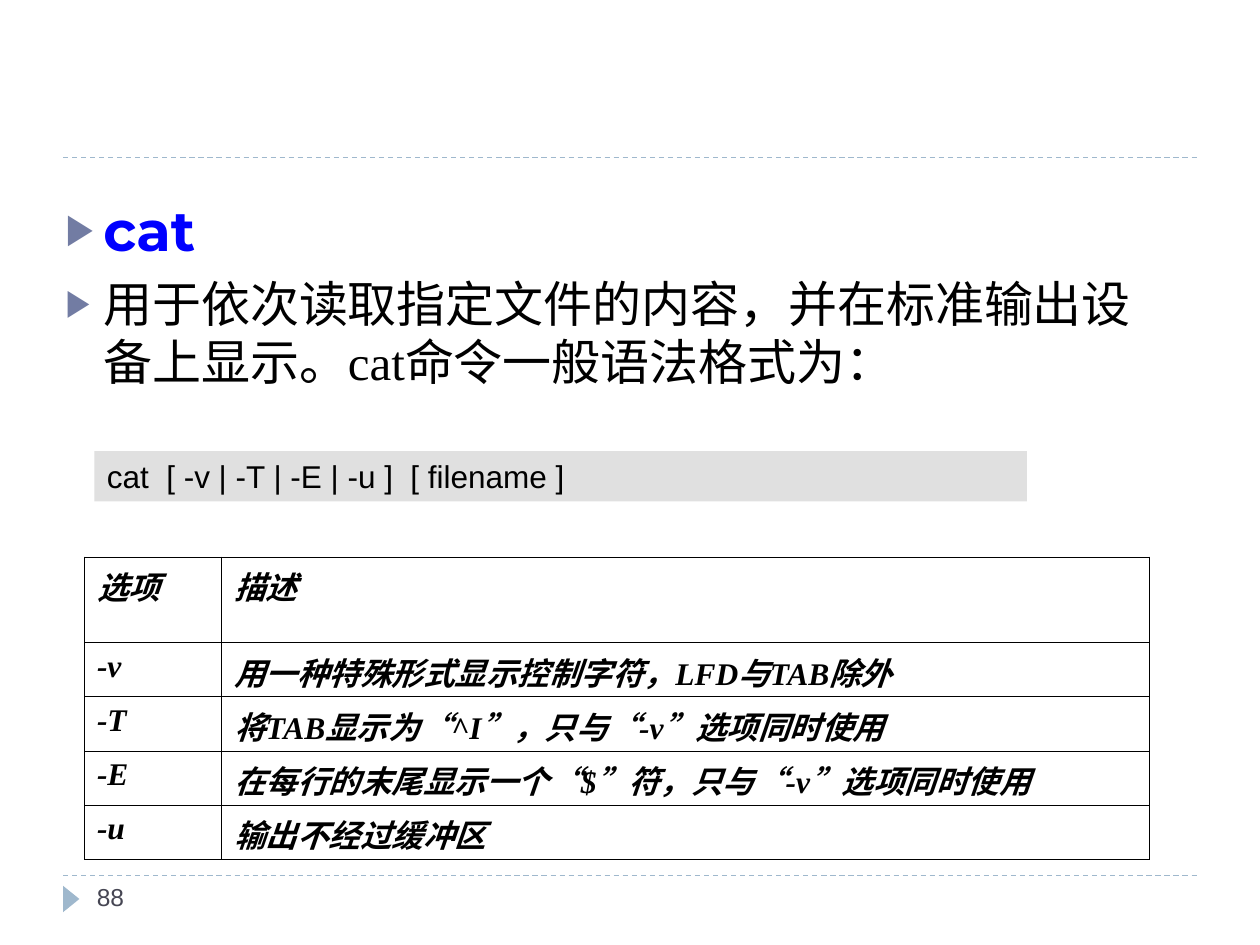
"""Build a slide that explains the cat command and its options."""
from lxml import etree
from pptx import Presentation
from pptx.dml.color import RGBColor
from pptx.enum.dml import MSO_LINE
from pptx.enum.shapes import MSO_CONNECTOR, MSO_SHAPE
from pptx.enum.text import MSO_ANCHOR, MSO_AUTO_SIZE, PP_ALIGN
from pptx.oxml.ns import qn
from pptx.util import Inches, Pt

DASH = MSO_LINE.DASH
STRAIGHT = MSO_CONNECTOR.STRAIGHT
RECT = MSO_SHAPE.RECTANGLE
TRIANGLE = MSO_SHAPE.ISOSCELES_TRIANGLE
TOP, MIDDLE = MSO_ANCHOR.TOP, MSO_ANCHOR.MIDDLE
LEFT = PP_ALIGN.LEFT
NO_FIT = MSO_AUTO_SIZE.NONE

COLORS = {
    "rule": "9FB8CD",
    "bullet": "727CA3",
    "number": "464653",
    "command": "0000FF",
    "text": "000000",
    "panel": "E0E0E0",
}
SERIF = "Times New Roman"
OPTIONS = [
    ("选项", "描述"),
    ("-v", "用一种特殊形式显示控制字符，LFD与TAB除外"),
    ("-T", "将TAB显示为“^I”，只与“-v”选项同时使用"),
    ("-E", "在每行的末尾显示一个“$”符，只与“-v”选项同时使用"),
    ("-u", "输出不经过缓冲区"),
]


def rgb(name):
    return RGBColor.from_string(COLORS[name])


def add_child(parent, tag, **attrs):
    child = etree.SubElement(parent, qn(tag))
    for key, value in attrs.items():
        child.set(key, str(value))
    return child


def add_bullet(p):
    pPr = p._p.get_or_add_pPr()
    add_child(add_child(pPr, "a:buClr"), "a:srgbClr", val=COLORS["bullet"])
    add_child(pPr, "a:buSzPct", val=76000)
    add_child(pPr, "a:buFont", typeface="Arial")
    add_child(pPr, "a:buChar", char="▶")


def write(p, text, size=18, font=SERIF, color="text", bold=False,
          italic=False, hang=0, bullet=False, before=0):
    pPr = p._p.get_or_add_pPr()
    pPr.set("marL", str(Inches(hang)))
    pPr.set("indent", str(-Inches(hang)))
    if bullet:
        add_bullet(p)
    p.alignment = LEFT
    p.space_before = Pt(before)
    r = p.add_run()
    r.text = text
    r.font.size = Pt(size)
    r.font.name = font
    r.font.bold = bold
    r.font.italic = italic
    r.font.color.rgb = rgb(color)


def add_rule(s, y):
    line = s.shapes.add_connector(
        STRAIGHT, Inches(0.5), Inches(y), Inches(9.5), Inches(y))
    line.line.color.rgb = rgb("rule")
    line.line.width = Pt(0.75)
    line.line.dash_style = DASH
    add_child(line._element.spPr, "a:effectLst")


def add_solid(s, kind, x, y, w, h, color):
    sp = s.shapes.add_shape(kind, Inches(x), Inches(y), Inches(w), Inches(h))
    sp.shadow.inherit = False
    sp.fill.solid()
    sp.fill.fore_color.rgb = rgb(color)
    sp.line.fill.background()
    return sp


def add_page_number(s, number):
    add_solid(s, TRIANGLE, 0.46, 7.07, 0.21, 0.13, "rule").rotation = 90
    box = s.shapes.add_textbox(
        Inches(0.67), Inches(6.95), Inches(2.17), Inches(0.4))
    tf = box.text_frame
    tf.word_wrap = True
    write(tf.paragraphs[0], number, size=14, font="Arial", color="number")


def fill_body(body):
    body.left, body.top = Inches(0.42), Inches(1.5)
    body.width, body.height = Inches(9), Inches(2.76)
    tf = body.text_frame
    tf.auto_size = NO_FIT
    tf.vertical_anchor = TOP
    write(tf.paragraphs[0], "cat", size=32, font="Montserrat",
          color="command", bold=True, hang=0.3, bullet=True)
    write(tf.add_paragraph(),
          "用于依次读取指定文件的内容，并在标准输出设备上显示。cat命令一般语法格式为：",
          size=28, hang=0.3, bullet=True, before=6)


def add_syntax(s, text):
    tf = add_solid(s, RECT, 0.75, 3.58, 7.4, 0.4, "panel").text_frame
    tf.word_wrap = True
    tf.vertical_anchor = MIDDLE
    write(tf.paragraphs[0], text, font="Arial")


def style_cell(cell):
    tcPr = cell._tc.get_or_add_tcPr()
    for side in ("a:lnL", "a:lnR", "a:lnT", "a:lnB"):
        ln = add_child(tcPr, side, w=Pt(0.45))
        add_child(add_child(ln, "a:solidFill"), "a:srgbClr",
                  val=COLORS["text"])
    cell.fill.background()


def add_options(s, rows):
    widths = (1.09, 7.36)
    heights = [0.68] + [0.43] * (len(rows) - 1)
    table = s.shapes.add_table(
        len(rows), len(widths), Inches(0.67), Inches(4.42),
        Inches(sum(widths)), Inches(sum(heights))).table
    table.horz_banding = False
    for col, width in zip(table.columns, widths):
        col.width = Inches(width)
    for row, height, texts in zip(table.rows, heights, rows):
        row.height = Inches(height)
        for cell, text in zip(row.cells, texts):
            style_cell(cell)
            write(cell.text_frame.paragraphs[0], text, bold=True,
                  italic=True, hang=0.3)


def main():
    prs = Presentation()
    prs.slide_width, prs.slide_height = Inches(10), Inches(7.5)
    s = prs.slides.add_slide(prs.slide_layouts[1])
    title = s.shapes.title._element
    title.getparent().remove(title)
    for y in (6.95, 1.25):
        add_rule(s, y)
    add_page_number(s, "88")
    fill_body(s.placeholders[1])
    add_options(s, OPTIONS)
    add_syntax(s, "cat  [ -v | -T | -E | -u ]  [ filename ]")
    prs.save("out.pptx")


if __name__ == "__main__":
    main()
